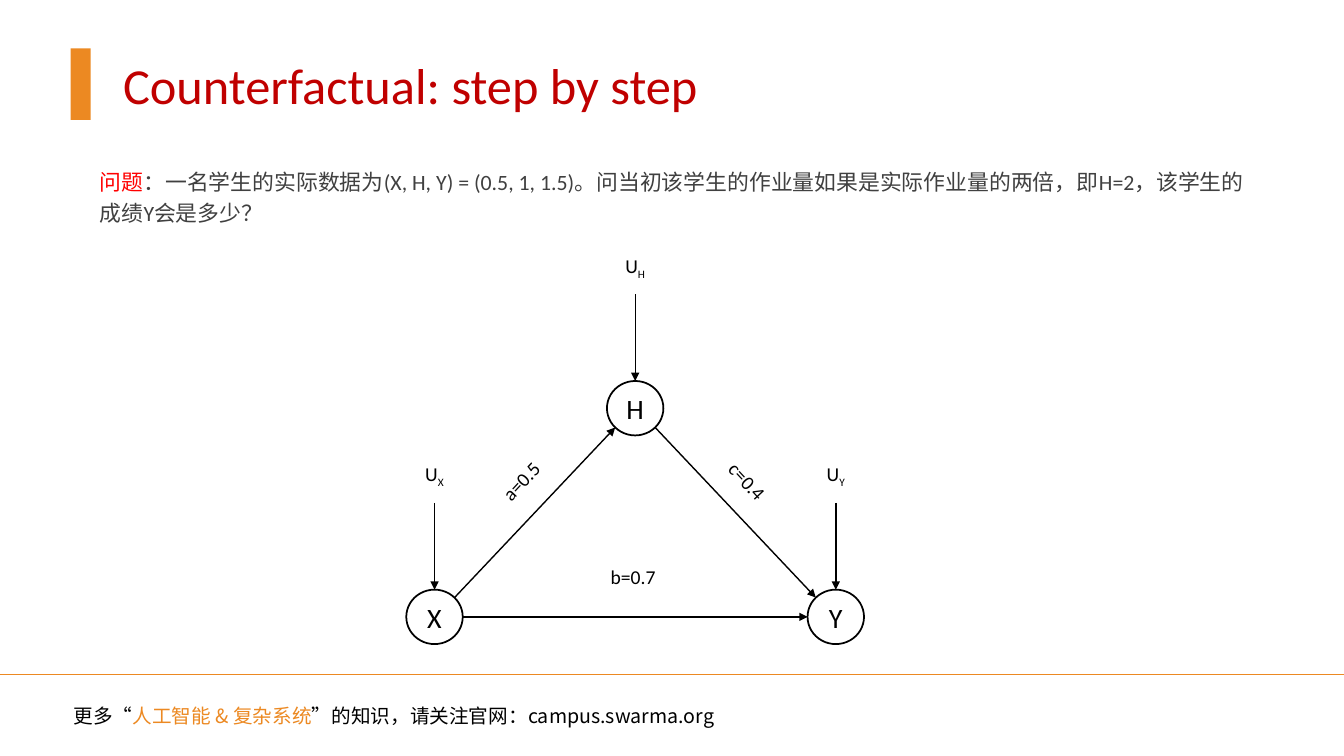
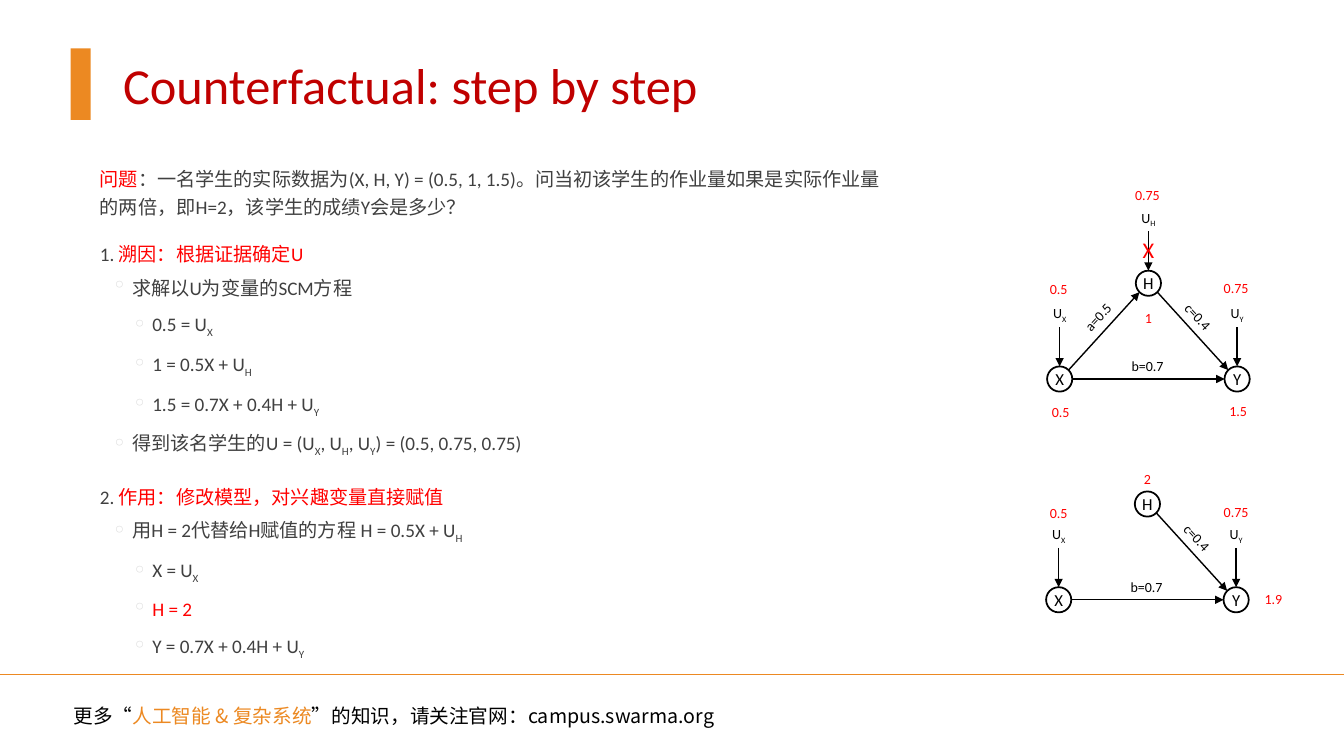
from dataclasses import dataclass

from lxml import etree
from pptx import Presentation
from pptx import util as u
from pptx.dml.color import RGBColor
from pptx.enum import shapes, text
from pptx.oxml import ns

Inches = u.Inches


@dataclass(frozen=True)
class Theme:
    width: float = 13.33
    height: float = 7.5
    font: str = "Calibri"
    footer_font: str = "Noto Sans CJK SC"
    ink: str = "000000"
    paper: str = "FFFFFF"
    body: str = "404040"
    title: str = "C00000"
    accent: str = "EC8922"
    alert: str = "FF0000"
    bullet: str = "DDDDDD"
    title_size: float = 36
    footer_size: float = 14
    mark_size: float = 16
    value_size: float = 10
    outline: float = 1.25
    stroke: float = 1


@dataclass(frozen=True)
class Scale:
    """Measures of one causal graph, in inches and points."""
    reach: tuple    # from H to Y, across and down
    node: tuple     # width and height of a node
    rise: float     # from a node up to its U
    lift: float     # from the base edge up to its weight
    name_size: float
    label_size: float


LARGE = Scale((1.99, 2.07), (0.56, 0.54), 1.4, 0.4, 20, 14)
SMALL = Scale((0.88, 0.95), (0.25, 0.25), 0.64, 0.13, 12, 10)

# Node places and weight labels, in units of the reach
NODES = {"H": (0, 0), "X": (-1, 1), "Y": (1, 1)}
WEIGHTS = {"XH": ("a=0.5", -0.57, 0.35, 313),
           "HY": ("c=0.4", 0.56, 0.35, 47),
           "XY": ("b=0.7", -0.01, 1, 0)}

# Indent, hanging, space before and space after for each outline level
LEVELS = [(0.1, 0, 12, 2), (0.42, -0.2, 2, 4), (0.62, -0.2, 2, 4)]

QUESTION = ("*问题*：一名学生的实际数据为(X, H, Y) = (0.5, 1, 1.5)。"
            "问当初该学生的作业量如果是实际作业量的两倍，即H=2，该学生的成绩Y会是多少？")
STEPS = [
    (0, QUESTION),
    (0, "1. *溯因：根据证据确定U*"),
    (1, "求解以U为变量的SCM方程"),
    (2, "0.5 = U_X"),
    (2, "1 = 0.5X + U_H"),
    (2, "1.5 = 0.7X + 0.4H + U_Y"),
    (1, "得到该名学生的U = (U_X, U_H, U_Y) = (0.5, 0.75, 0.75)"),
    (0, "2. *作用：修改模型，对兴趣变量直接赋值*"),
    (1, "用H = 2代替给H赋值的方程 H = 0.5X + U_H"),
    (2, "X = U_X"),
    (2, "*H = 2*"),
    (2, "Y = 0.7X + 0.4H + U_Y"),
]

# Red values beside the two small graphs: text and centre
EVIDENCE = [("0.75", 11.38, 1.93), ("0.5", 10.5, 2.87), ("0.75", 12.26, 2.86),
            ("1", 11.39, 3.15), ("0.5", 10.52, 4.09), ("1.5", 12.28, 4.08)]
ACTION = [("2", 11.38, 4.75), ("0.5", 10.5, 5.09), ("0.75", 12.26, 5.08),
          ("1.9", 12.63, 5.94)]


def assign(target, values):
    for name, value in values.items():
        setattr(target, name, value)


def add_xml(parent, tag, **attributes):
    return etree.SubElement(parent, ns.qn(tag), attributes)


class Deck:
    def __init__(self, theme):
        self.theme = theme
        self.deck = Presentation()
        assign(self.deck, {"slide_width": Inches(theme.width),
                           "slide_height": Inches(theme.height)})
        self.page = self.canvas = None

    # Text
    def add_text(self, para, content, size, color, accent=None, font=None):
        """Set text where *...* is accented and _ lowers the next letter."""
        font = font or self.theme.font
        for number, part in enumerate(content.split("*")):
            tone = accent if number % 2 else color
            first, *rest = part.split("_")
            pieces = [(first, False)]
            for piece in rest:
                pieces += [(piece[0], True), (piece[1:], False)]
            for words, lowered in pieces:
                if not words:
                    continue
                span = para.add_run()
                span.text = words
                assign(span.font, {"name": font, "size": u.Pt(size)})
                span.font.color.rgb = RGBColor.from_string(tone)
                props = span._r.get_or_add_rPr()
                add_xml(props, "a:ea", typeface=font)
                if lowered:
                    props.set("baseline", "-25000")

    def frame(self, shape, wrap=True, inset=None,
              anchor=text.MSO_ANCHOR.TOP):
        frame = shape.text_frame
        assign(frame, {"word_wrap": wrap, "vertical_anchor": anchor,
                       "auto_size": text.MSO_AUTO_SIZE.NONE})
        if inset is not None:
            assign(frame, {"margin_left": Inches(inset),
                           "margin_right": Inches(inset)})
        return frame

    def box(self, *place):
        return self.page.shapes.add_textbox(*map(Inches, place))

    def label(self, content, x, y, size, color, turn=0):
        width, height = 0.6, 0.3
        box = self.canvas.add_textbox(
            *map(Inches, (x - width / 2, y - height / 2, width, height)))
        box.rotation = turn
        frame = self.frame(box, False, anchor=text.MSO_ANCHOR.MIDDLE)
        para = frame.paragraphs[0]
        para.alignment = text.PP_ALIGN.CENTER
        self.add_text(para, content, size, color)

    def values(self, items):
        for content, x, y in items:
            self.label(content, x, y, self.theme.value_size, self.theme.alert)

    def outline(self, items, width, size):
        frame = self.frame(self.box(0.89, 1.57, width, 5.1), inset=0)
        for number, (level, content) in enumerate(items):
            para = frame.add_paragraph() if number else frame.paragraphs[0]
            indent, hanging, before, after = LEVELS[level]
            props = para._p.get_or_add_pPr()
            props.set("marL", str(Inches(indent)))
            props.set("indent", str(Inches(hanging)))
            if level:
                color = add_xml(props, "a:buClr")
                add_xml(color, "a:srgbClr", val=self.theme.bullet)
                add_xml(props, "a:buChar", char="◦")
            assign(para, {"level": level, "line_spacing": 1.2,
                          "space_before": u.Pt(before if number else 0),
                          "space_after": u.Pt(after)})
            self.add_text(para, content, size, self.theme.body,
                          self.theme.alert)

    # Shapes and lines
    def shape(self, kind, place, fill, line=None):
        shape = self.canvas.add_shape(kind, *map(Inches, place))
        shape.shadow.inherit = False
        shape.fill.solid()
        shape.fill.fore_color.rgb = RGBColor.from_string(fill)
        if line:
            shape.line.color.rgb = RGBColor.from_string(line)
            shape.line.width = u.Pt(self.theme.outline)
        else:
            shape.line.fill.background()
        return shape

    def line(self, start, end, color, arrow=False):
        line = self.canvas.add_connector(
            shapes.MSO_CONNECTOR.STRAIGHT, *map(Inches, (*start, *end)))
        line.line.color.rgb = RGBColor.from_string(color)
        line.line.width = u.Pt(self.theme.stroke)
        props = line._element.spPr
        if arrow:
            add_xml(props.find(ns.qn("a:ln")), "a:tailEnd", type="triangle")
        add_xml(props, "a:effectLst")

    def node(self, content, centre, extent, size, line=None):
        (x, y), (width, height) = centre, extent
        place = (x - width / 2, y - height / 2, width, height)
        oval = self.shape(shapes.MSO_SHAPE.OVAL, place, self.theme.paper, line)
        frame = self.frame(oval, False, 0, text.MSO_ANCHOR.MIDDLE)
        para = frame.paragraphs[0]
        para.alignment = text.PP_ALIGN.CENTER
        self.add_text(para, content, size, self.theme.ink)

    def arrow(self, start, end, extent):
        """Join the rims of two nodes at their nearest eighth."""
        signs = [(b > a) - (b < a) for a, b in zip(start, end)]
        share = 0.71 if all(signs) else 1
        gaps = [s * share * e / 2 for s, e in zip(signs, extent)]
        self.line([a + g for a, g in zip(start, gaps)],
                  [b - g for b, g in zip(end, gaps)], self.theme.ink, True)

    def graph(self, apex, scale, edges, driven):
        """Draw a causal graph with H at the apex, as one group."""
        self.canvas = self.page.shapes.add_group_shape().shapes
        ink = self.theme.ink

        def spot(x, y):
            return apex[0] + x * scale.reach[0], apex[1] + y * scale.reach[1]

        centres = {name: spot(*unit) for name, unit in NODES.items()}
        for name, centre in centres.items():
            self.node(name, centre, scale.node, scale.name_size, ink)
        for name in driven:
            x, y = centres[name]
            source = (x, y - scale.rise)
            self.node("U_" + name, source, scale.node, scale.label_size)
            self.arrow(source, (x, y), scale.node)
        for edge in edges:
            self.arrow(centres[edge[0]], centres[edge[1]], scale.node)
            content, *unit, turn = WEIGHTS[edge]
            x, y = spot(*unit)
            lift = 0 if turn else scale.lift
            self.label(content, x, y - lift, scale.label_size, ink, turn)
        self.canvas = self.page.shapes

    # Page with title, accent bar and footer
    def add_page(self, title):
        theme = self.theme
        self.page = self.deck.slides.add_slide(self.deck.slide_layouts[5])
        self.canvas = self.page.shapes
        heading = self.page.shapes.title
        assign(heading, {"left": Inches(1.12), "top": Inches(0.48),
                         "width": Inches(7.18), "height": Inches(0.71)})
        frame = self.frame(heading, anchor=text.MSO_ANCHOR.MIDDLE)
        para = frame.paragraphs[0]
        para.alignment = text.PP_ALIGN.LEFT
        self.add_text(para, title, theme.title_size, theme.title)
        self.shape(shapes.MSO_SHAPE.RECTANGLE, (0.7, 0.48, 0.2, 0.71),
                   theme.accent)
        self.line((0, 6.69), (theme.width, 6.69), theme.accent)
        footer = self.frame(self.box(0.63, 6.93, 7.85, 0.34))
        self.add_text(footer.paragraphs[0],
                      "更多“*人工智能 & 复杂系统*”的知识，请关注官网：campus.swarma.org",
                      theme.footer_size, theme.ink, theme.accent,
                      theme.footer_font)


def main():
    theme = Theme()
    slides = Deck(theme)
    title = "Counterfactual: step by step"

    # The question and its model
    slides.add_page(title)
    slides.outline([(0, QUESTION)], 11.51, 15.6)
    slides.graph((6.3, 4.05), LARGE, WEIGHTS, NODES)

    # Abduction and action
    slides.add_page(title)
    slides.outline(STEPS, 7.98, 13.7)
    slides.graph((11.39, 2.81), SMALL, WEIGHTS, NODES)
    slides.label("X", 11.39, 2.48, theme.mark_size, theme.alert)
    slides.values(EVIDENCE)
    slides.graph((11.38, 5.0), SMALL, ["XY", "HY"], "XY")
    slides.values(ACTION)

    slides.deck.save("out.pptx")


if __name__ == "__main__":
    main()
